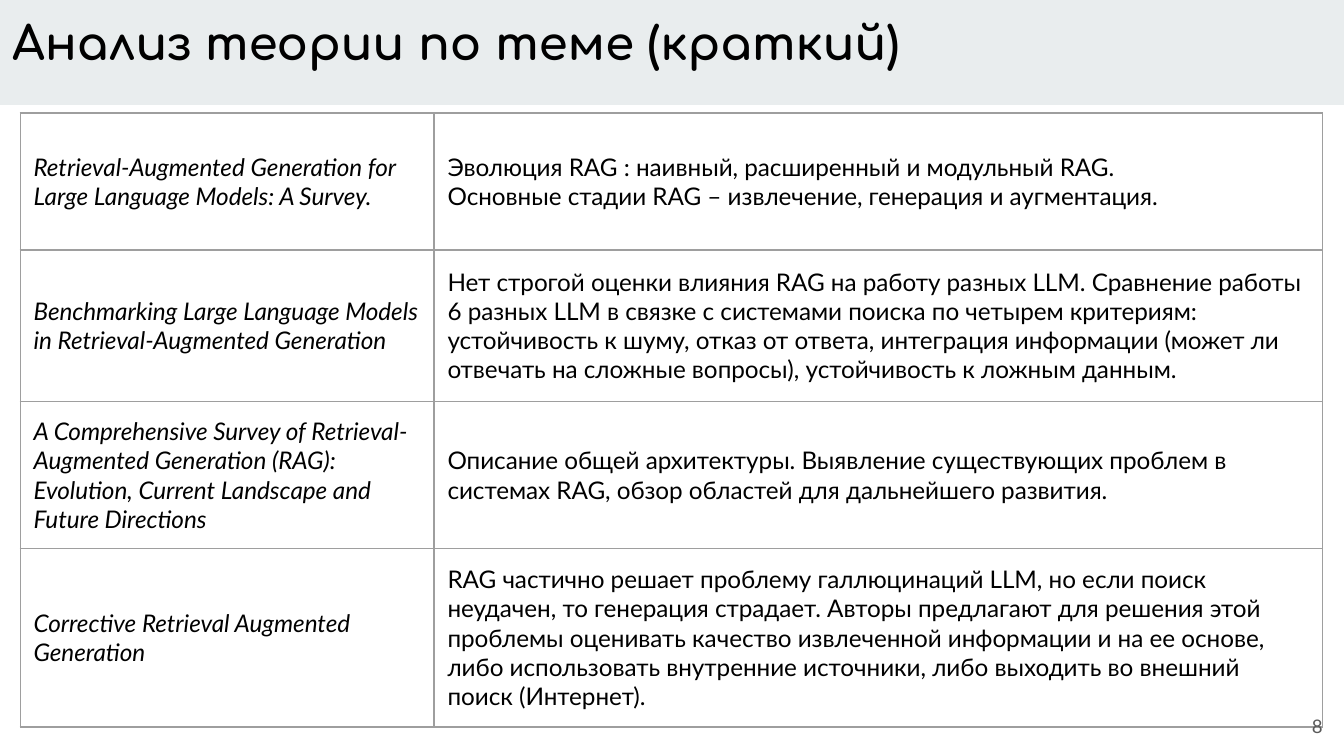
from lxml import etree
from pptx import Presentation
from pptx.dml.color import RGBColor
from pptx.enum.text import MSO_ANCHOR, MSO_AUTO_SIZE, PP_ALIGN
from pptx.oxml.ns import qn
from pptx.util import Inches, Pt

LEFT, RIGHT = PP_ALIGN.LEFT, PP_ALIGN.RIGHT
TOP, MIDDLE = MSO_ANCHOR.TOP, MSO_ANCHOR.MIDDLE
NO_FIT = MSO_AUTO_SIZE.NONE

BLACK = RGBColor(0x00, 0x00, 0x00)
BAND = RGBColor(0xE9, 0xED, 0xEE)
BORDER = RGBColor(0x9E, 0x9E, 0x9E)
PAGE_GRAY = RGBColor(0x59, 0x59, 0x59)

WIDTH = Inches(10)
HEIGHT = WIDTH * 9 // 16
INSET = Inches(0.1)
COLUMN_WIDTHS = (3.08, 6.61)
ROW_HEIGHTS = (1.02, 1.13, 1.09, 1.33)

PAPERS = [
    ("Retrieval-Augmented Generation for Large Language Models: A Survey.",
     "Эволюция RAG : наивный, расширенный и модульный RAG.\n"
     "Основные стадии RAG – извлечение, генерация и аугментация."),
    ("Benchmarking Large Language Models in Retrieval-Augmented Generation",
     "Нет строгой оценки влияния RAG на работу разных LLM. Сравнение работы "
     "6 разных LLM в связке с системами поиска по четырем критериям: "
     "устойчивость к шуму, отказ от ответа, интеграция информации (может ли "
     "отвечать на сложные вопросы), устойчивость к ложным данным."),
    ("A Comprehensive Survey of Retrieval-Augmented Generation (RAG): "
     "Evolution, Current Landscape and Future Directions",
     "Описание общей архитектуры. Выявление существующих проблем в "
     "системах RAG, обзор областей для дальнейшего развития."),
    ("Corrective Retrieval Augmented Generation",
     "RAG частично решает проблему галлюцинаций LLM, но если поиск "
     "неудачен, то генерация страдает. Авторы предлагают для решения этой "
     "проблемы оценивать качество извлеченной информации и на ее основе, "
     "либо использовать внутренние источники, либо выходить во внешний "
     "поиск (Интернет)."),
]


def write(holder, text, font, size, color=BLACK, align=LEFT, bold=False, italic=False):
    """Fill a shape or a cell with evenly formatted paragraphs."""
    frame = holder.text_frame
    frame.text = text
    frame.word_wrap = True
    margins = holder if hasattr(holder, "margin_left") else frame
    margins.margin_left = margins.margin_right = INSET
    margins.margin_top = margins.margin_bottom = INSET
    for paragraph in frame.paragraphs:
        paragraph.alignment = align
        paragraph.font.name = font
        paragraph.font.size = Pt(size)
        paragraph.font.bold = bold
        paragraph.font.italic = italic
        paragraph.font.color.rgb = color


def add_borders(cell):
    properties = cell._tc.get_or_add_tcPr()
    for position, side in enumerate(("a:lnL", "a:lnR", "a:lnT", "a:lnB")):
        line = etree.Element(qn(side), w=str(Pt(0.75)))
        fill = etree.SubElement(line, qn("a:solidFill"))
        etree.SubElement(fill, qn("a:srgbClr"), val=str(BORDER))
        properties.insert(position, line)


def place_title(slide, left, top, width, height):
    title = slide.shapes.title
    title.left, title.top, title.width, title.height = left, top, width, height
    title.fill.solid()
    title.fill.fore_color.rgb = BAND
    write(title, "Анализ теории по теме (краткий)", "Comfortaa", 25, bold=True)
    title.text_frame.vertical_anchor = TOP
    title.text_frame.auto_size = NO_FIT


def place_papers(slide, left, top, width, height):
    """Table of papers, its columns and rows sharing out the given box."""
    table = slide.shapes.add_table(
        len(PAPERS), len(COLUMN_WIDTHS), left, top, width, height).table
    table.first_row = table.horz_banding = False
    for column, share in zip(table.columns, COLUMN_WIDTHS):
        column.width = int(width * share / sum(COLUMN_WIDTHS))
    for row, share, paper in zip(table.rows, ROW_HEIGHTS, PAPERS):
        row.height = int(height * share / sum(ROW_HEIGHTS))
        for index, (cell, text) in enumerate(zip(row.cells, paper)):
            write(cell, text, "Lato", 13, italic=index == 0)
            cell.vertical_anchor = MIDDLE
            cell.fill.background()
            add_borders(cell)


def place_page_number(slide, left, top, width, height):
    number = slide.shapes.add_textbox(left, top, width, height)
    write(number, "8", "Lato", 10, PAGE_GRAY, RIGHT)
    number.text_frame.vertical_anchor = MIDDLE


def main():
    deck = Presentation()
    deck.slide_width, deck.slide_height = WIDTH, HEIGHT
    slide = deck.slides.add_slide(deck.slide_layouts[5])
    place_title(slide, Inches(-0.01), 0, Inches(10.01), Inches(0.78))
    place_papers(slide, Inches(0.15), Inches(0.84),
                 Inches(sum(COLUMN_WIDTHS)), Inches(sum(ROW_HEIGHTS)))
    place_page_number(slide, Inches(9.34), Inches(5.19), Inches(0.6), Inches(0.43))
    deck.save("out.pptx")


if __name__ == "__main__":
    main()
